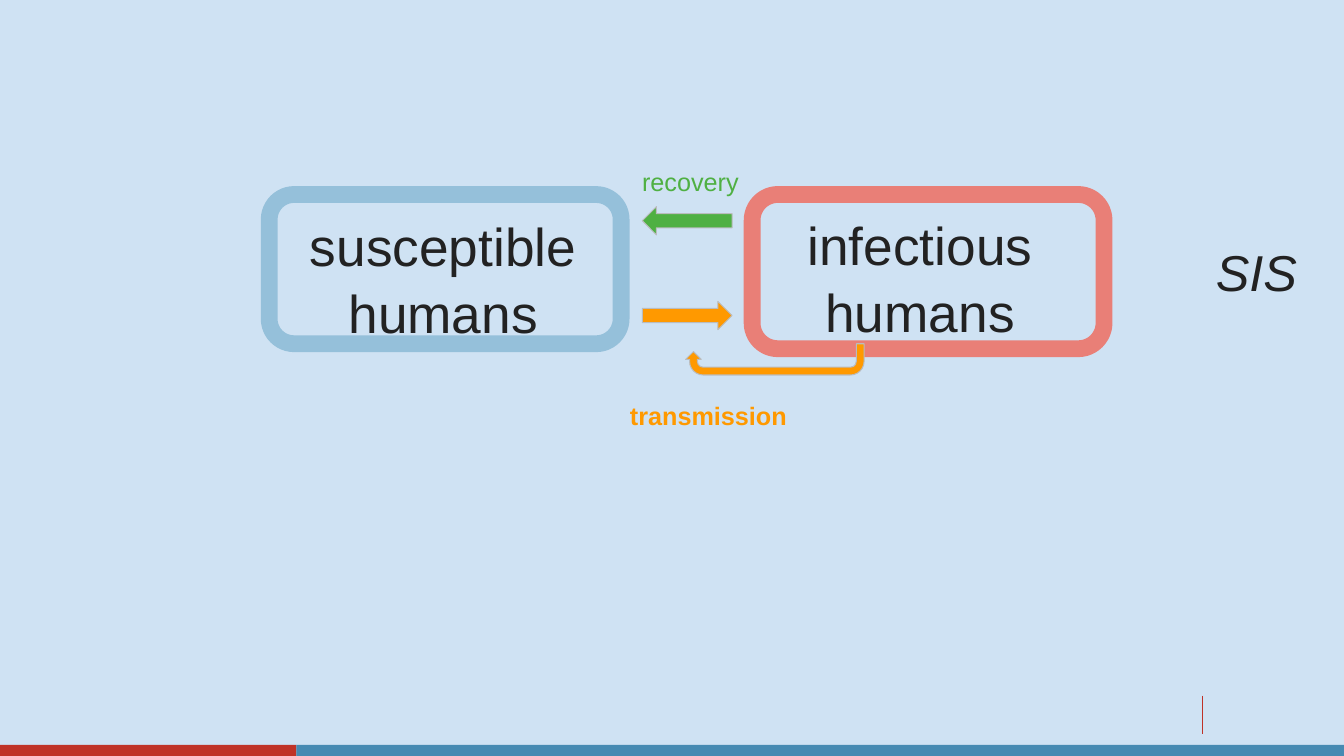
from pptx import Presentation
from pptx.dml.color import RGBColor
from pptx.enum.shapes import MSO_CONNECTOR, MSO_SHAPE as SHAPE
from pptx.enum.text import MSO_AUTO_SIZE, PP_ALIGN
from pptx.oxml.ns import qn
from pptx.util import Inches, Pt
from lxml.etree import SubElement

W, H = 13.33, 7.5
COLORS = {
    "background": "CFE2F3", "red": "BF3227", "blue": "468AB2",
    "susceptible": "95C0DA", "infectious": "E97F77", "text": "222222",
    "recovery": "4FB043", "transmission": "FF9900", "edge": "BABCBE",
}

# Footer: bar height, width of its red part, divider position
BAR_H, RED_W = 0.11, 2.94
DIVIDER_X, DIVIDER_TOP, DIVIDER_BOTTOM = 11.93, 6.9, 7.28

# Compartments: colour, left, height
BOX_TOP, BOX_W = 1.93, 3.49
COMPARTMENTS = [("susceptible", 2.67, 1.48), ("infectious", 7.46, 1.53)]

# Flows between the compartments: colour, shape, top
ARROW_X, ARROW_W, ARROW_H = 6.37, 0.89, 0.28
FLOWS = [("transmission", SHAPE.RIGHT_ARROW, 2.99),
         ("recovery", SHAPE.LEFT_ARROW, 2.05)]
FEEDBACK = (6.8, 3.41, 1.77, 0.31)

# Labels: paragraphs, box, size, colour, alignment, bold, italic
LABELS = [
    (["susceptible humans"], (2.84, 1.98, 3.11, 1.48), 38, "text", PP_ALIGN.CENTER, False, False),
    (["infectious", "humans"], (7.57, 1.97, 3.11, 1.48), 38, "text", PP_ALIGN.CENTER, False, False),
    (["recovery"], (6.27, 1.54, 1.18, 0.5), 18, "recovery", PP_ALIGN.LEFT, False, False),
    (["SIS"], (11.96, 2.26, 1.42, 0.81), 36, "text", PP_ALIGN.LEFT, False, True),
    (["transmission"], (6.15, 3.86, 1.94, 0.5), 18, "transmission", PP_ALIGN.LEFT, True, False),
]


def rgb(name):
    return RGBColor.from_string(COLORS[name])


def add_shape(slide, kind, box, fill=None, line=None, width=0.75):
    sp = slide.shapes.add_shape(kind, *map(Inches, box))
    sp.shadow.inherit = False
    if fill:
        sp.fill.solid()
        sp.fill.fore_color.rgb = rgb(fill)
    else:
        sp.fill.background()
    if line:
        sp.line.color.rgb = rgb(line)
        sp.line.width = Pt(width)
    else:
        sp.line.fill.background()
    return sp


def add_label(slide, lines, box, size, color, align, bold, italic):
    tf = slide.shapes.add_textbox(*map(Inches, box)).text_frame
    tf.word_wrap = True
    tf.auto_size = MSO_AUTO_SIZE.SHAPE_TO_FIT_TEXT
    tf.margin_left = tf.margin_right = tf.margin_top = tf.margin_bottom = Inches(0.1)
    tf.text = "\n".join(lines)
    for p in tf.paragraphs:
        p.alignment = align
        p.line_spacing = 1.05
        font = p.runs[0].font
        font.name, font.size = "Arial", Pt(size)
        font.bold, font.italic = bold, italic
        font.color.rgb = rgb(color)


def add_footer(slide):
    divider = slide.shapes.add_connector(
        MSO_CONNECTOR.STRAIGHT, Inches(DIVIDER_X), Inches(DIVIDER_TOP),
        Inches(DIVIDER_X), Inches(DIVIDER_BOTTOM))
    divider.line.color.rgb = rgb("red")
    divider.line.width = Pt(0.75)
    SubElement(divider._element.spPr, qn("a:effectLst"))
    top = H - BAR_H
    add_shape(slide, SHAPE.RECTANGLE, (0, top, RED_W, BAR_H), "red")
    add_shape(slide, SHAPE.RECTANGLE, (RED_W, top, W - RED_W, BAR_H), "blue")


def main():
    prs = Presentation()
    prs.slide_width, prs.slide_height = Inches(W), Inches(H)
    slide = prs.slides.add_slide(prs.slide_layouts[6])
    slide.background.fill.solid()
    slide.background.fill.fore_color.rgb = rgb("background")

    add_footer(slide)
    for color, left, height in COMPARTMENTS:
        add_shape(slide, SHAPE.ROUNDED_RECTANGLE, (left, BOX_TOP, BOX_W, height),
                  line=color, width=12)
    for color, kind, top in FLOWS:
        add_shape(slide, kind, (ARROW_X, top, ARROW_W, ARROW_H), color, "edge")
    feedback = add_shape(slide, SHAPE.U_TURN_ARROW, FEEDBACK, "transmission", "edge")
    feedback.rotation = 180
    for label in LABELS:
        add_label(slide, *label)
    prs.save("out.pptx")


if __name__ == "__main__":
    main()
